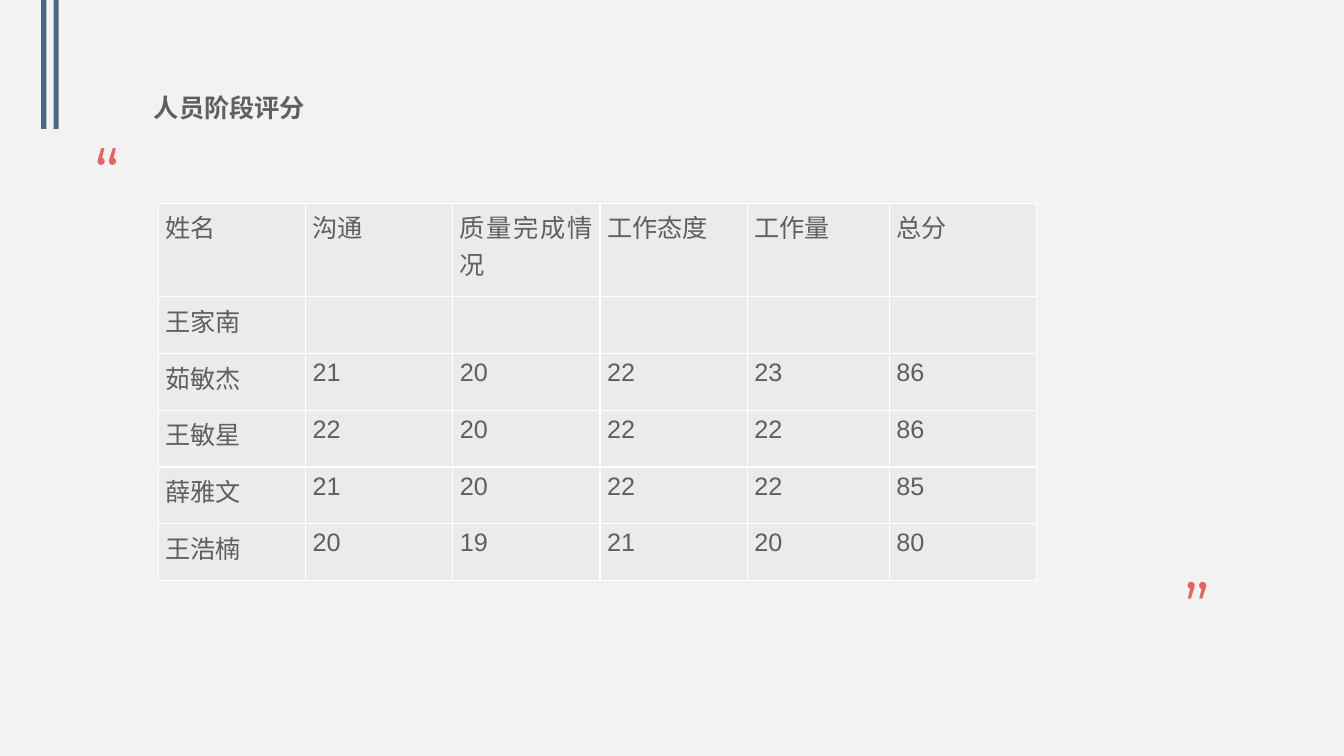
from dataclasses import dataclass

from lxml.etree import SubElement
from pptx import Presentation
from pptx.dml.color import RGBColor
from pptx.enum.shapes import MSO_SHAPE
from pptx.enum.text import MSO_ANCHOR, MSO_AUTO_SIZE, PP_ALIGN
from pptx.oxml.ns import qn
from pptx.slide import Slide
from pptx.table import _Cell as Cell
from pptx.text.text import _Paragraph as Paragraph
from pptx.util import Cm, Pt

PAPER = RGBColor(0xF2, 0xF2, 0xF2)
BLUE = RGBColor(0x4A, 0x69, 0x82)
RED = RGBColor(0xE8, 0x62, 0x62)
GRAY = RGBColor(0x5F, 0x5F, 0x5F)
CELL_FILL = RGBColor(0xE9, 0xEB, 0xED)
WHITE = RGBColor(0xFF, 0xFF, 0xFF)

BAR_LEFTS = (1.04, 1.35)
COLUMN_WIDTHS = (3.71, 3.71, 3.71, 3.71, 3.58, 3.71)
HEADER_HEIGHT = 2.35
ROW_HEIGHT = 1.43
SCORES = (
    ("姓名", "沟通", "质量完成情况", "工作态度", "工作量", "总分"),
    ("王家南", "", "", "", "", ""),
    ("茹敏杰", "21", "20", "22", "23", "86"),
    ("王敏星", "22", "20", "22", "22", "86"),
    ("薛雅文", "21", "20", "22", "22", "85"),
    ("王浩楠", "20", "19", "21", "20", "80"),
)


@dataclass(frozen=True)
class Label:
    text: str
    left: float
    top: float
    width: float
    height: float
    size: int
    font: str
    color: RGBColor
    bold: bool = False
    align: PP_ALIGN = PP_ALIGN.LEFT
    anchor: MSO_ANCHOR = MSO_ANCHOR.TOP


LABELS = (
    Label("”", 29.24, 14.1, 1.85, 2.31, 48, "Montserrat", RED,
          align=PP_ALIGN.CENTER, anchor=MSO_ANCHOR.MIDDLE),
    Label("“", 1.78, 3.1, 1.85, 2.46, 48, "Montserrat", RED,
          align=PP_ALIGN.CENTER, anchor=MSO_ANCHOR.MIDDLE),
    Label("人员阶段评分", 3.63, 2.21, 22.78, 1.8, 18, "Arial", GRAY, bold=True),
)


def style_text(para: Paragraph, size: int, font: str, color: RGBColor, bold: bool = False) -> None:
    for span in para.runs:
        span.font.size = Pt(size)
        span.font.name = font
        span.font.color.rgb = color
        span.font.bold = bold


def draw_bar(page: Slide, left: float) -> None:
    bar = page.shapes.add_shape(MSO_SHAPE.RECTANGLE, Cm(left), Cm(0), Cm(0.13), Cm(3.25))
    bar.shadow.inherit = False
    bar.fill.solid()
    bar.fill.fore_color.rgb = BLUE
    bar.line.fill.background()


def draw_label(page: Slide, label: Label) -> None:
    box = page.shapes.add_textbox(Cm(label.left), Cm(label.top), Cm(label.width), Cm(label.height))
    frame = box.text_frame
    frame.word_wrap = True
    frame.auto_size = MSO_AUTO_SIZE.SHAPE_TO_FIT_TEXT
    frame.vertical_anchor = label.anchor
    frame.text = label.text
    para = frame.paragraphs[0]
    para.alignment = label.align
    style_text(para, label.size, label.font, label.color, label.bold)


def add_borders(cell: Cell) -> None:
    properties = cell._tc.get_or_add_tcPr()
    for position, side in enumerate(("a:lnL", "a:lnR", "a:lnT", "a:lnB")):
        line = SubElement(properties, qn(side), w=str(Pt(1)))
        properties.insert(position, line)
        fill = SubElement(line, qn("a:solidFill"))
        SubElement(fill, qn("a:srgbClr"), val=str(WHITE))


def fill_cell(cell: Cell, text: str) -> None:
    cell.fill.solid()
    cell.fill.fore_color.rgb = CELL_FILL
    cell.margin_left = cell.margin_right = Cm(0.18)
    cell.margin_top = cell.margin_bottom = Cm(0.13)
    cell.text_frame.text = text
    para = cell.text_frame.paragraphs[0]
    para.alignment = PP_ALIGN.JUSTIFY
    style_text(para, 18, "Arial", GRAY)
    add_borders(cell)


def draw_scores(page: Slide) -> None:
    heights = [HEADER_HEIGHT] + [ROW_HEIGHT] * (len(SCORES) - 1)
    table = page.shapes.add_table(
        len(SCORES), len(COLUMN_WIDTHS), Cm(3.99), Cm(5.13),
        Cm(sum(COLUMN_WIDTHS)), Cm(sum(heights)),
    ).table
    for column, width in zip(table.columns, COLUMN_WIDTHS):
        column.width = Cm(width)
    for row, height, texts in zip(table.rows, heights, SCORES):
        row.height = Cm(height)
        for cell, text in zip(row.cells, texts):
            fill_cell(cell, text)


def main() -> None:
    deck = Presentation()
    deck.slide_width, deck.slide_height = Cm(33.87), Cm(19.05)
    page = deck.slides.add_slide(deck.slide_layouts[6])
    page.background.fill.solid()
    page.background.fill.fore_color.rgb = PAPER
    for left in BAR_LEFTS:
        draw_bar(page, left)
    for label in LABELS:
        draw_label(page, label)
    draw_scores(page)
    deck.save("out.pptx")


if __name__ == "__main__":
    main()
